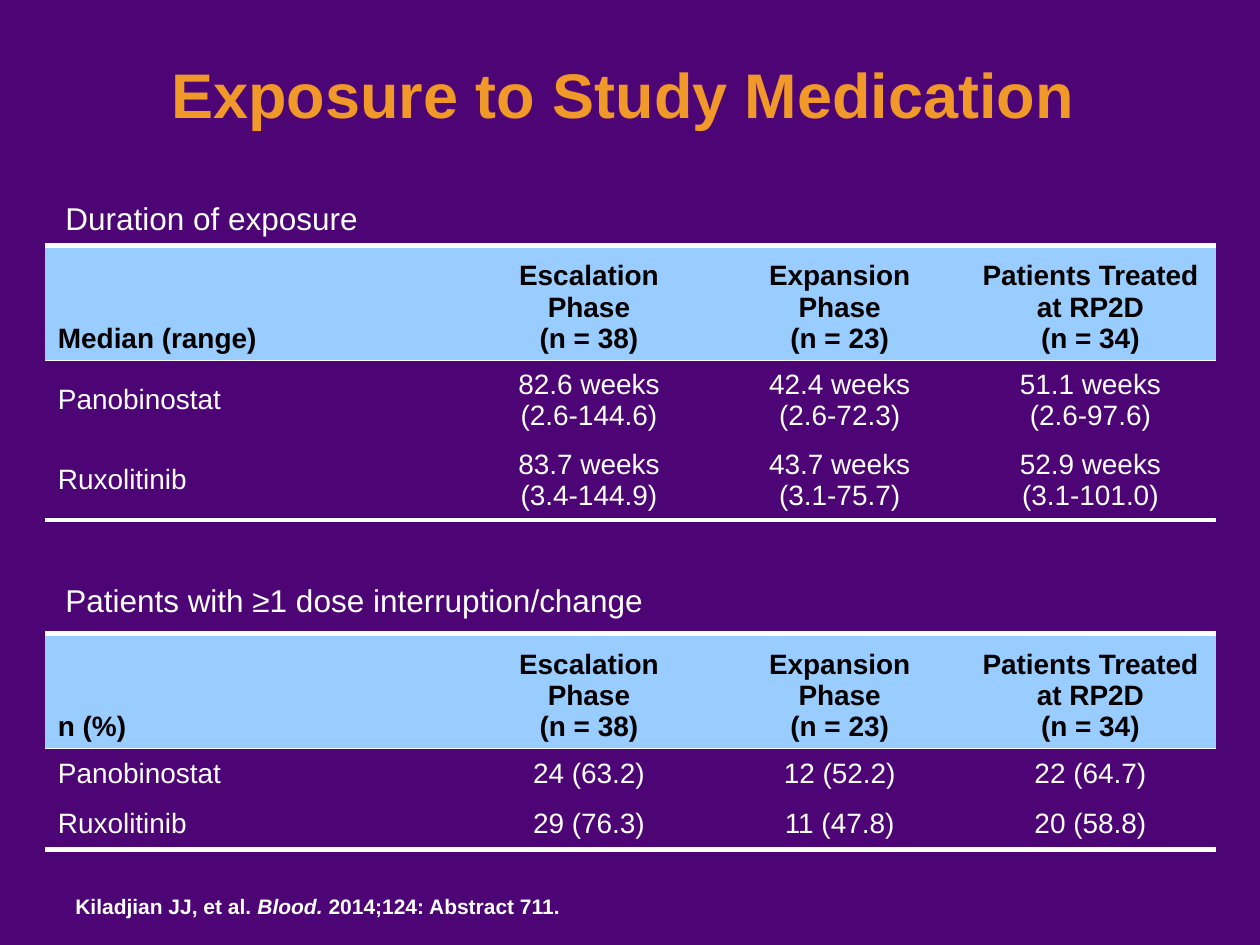
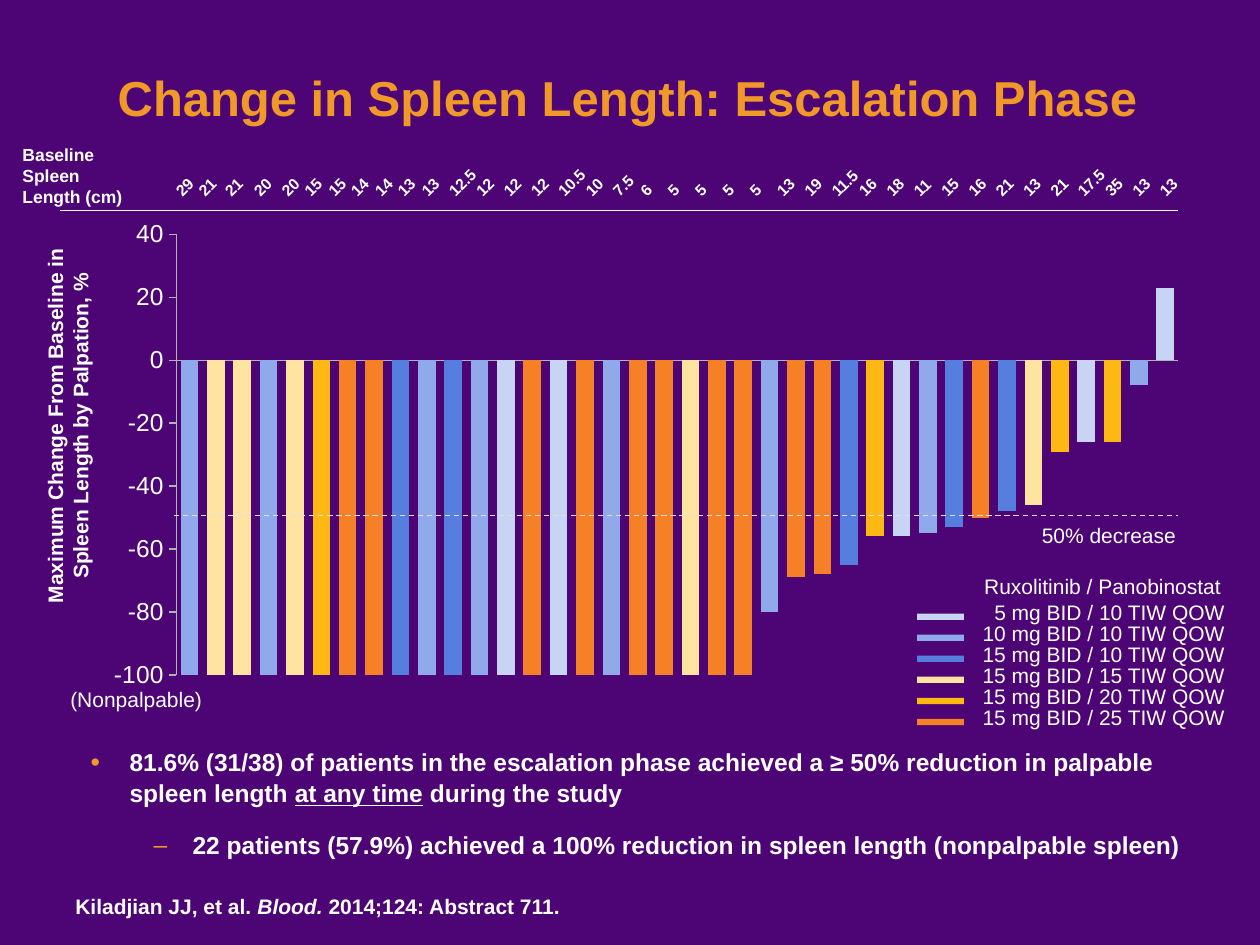
from dataclasses import dataclass

from lxml import etree
from pptx import Presentation
from pptx.chart.data import CategoryChartData
from pptx.dml.color import RGBColor
from pptx.enum.chart import XL_CHART_TYPE, XL_TICK_LABEL_POSITION, XL_TICK_MARK
from pptx.enum.dml import MSO_LINE
from pptx.enum.shapes import MSO_CONNECTOR, MSO_SHAPE
from pptx.enum.text import MSO_ANCHOR, PP_ALIGN
from pptx.oxml import parse_xml
from pptx.oxml.ns import nsdecls, qn
from pptx.util import Inches, Pt


@dataclass(frozen=True)
class Theme:
    font: str = "Arial"
    background: str = "4D0575"
    accent: str = "F09828"
    text: str = "FFFFFF"
    header_fill: str = "99CCFF"
    header_text: str = "000000"
    axis: str = "B3B3B3"
    threshold: str = "E0DDE5"
    doses: tuple = ("C7D4F4", "8FA9EA", "567EDF", "FEE3A1", "FDB813", "F58025")
    title: int = 36
    long_title: int = 28
    subtitle: int = 18
    table: int = 16
    body: int = 14
    label: int = 12
    small: int = 10
    baseline: int = 9


THEME = Theme()

CITATION = [("Kiladjian JJ, et al. ", {}), ("Blood. ", {"italic": True}),
            ("2014;124: Abstract 711.", {})]

PHASES = ["Escalation Phase\n(n = 38)", "Expansion Phase\n(n = 23)",
          "Patients Treated at RP2D\n(n = 34)"]
DURATION_ROWS = [
    ["Median (range)", *PHASES],
    ["Panobinostat", "82.6 weeks\n(2.6-144.6)", "42.4 weeks\n(2.6-72.3)",
     "51.1 weeks\n(2.6-97.6)"],
    ["Ruxolitinib", "83.7 weeks\n(3.4-144.9)", "43.7 weeks\n(3.1-75.7)",
     "52.9 weeks\n(3.1-101.0)"],
]
INTERRUPTION_ROWS = [
    ["n (%)", *PHASES],
    ["Panobinostat", "24 (63.2)", "12 (52.2)", "22 (64.7)"],
    ["Ruxolitinib", "29 (76.3)", "11 (47.8)", "20 (58.8)"],
]

# One entry per patient: change in %, dose group, baseline length in cm
SPLEEN_CHANGES = [-100] * 22 + [-80, -69, -68, -65, -56, -56, -55, -53, -50, -48,
                                -46, -29, -26, -26, -8, 23]
DOSE_GROUPS = [int(digit) for digit in "13313455212105051553551552401252340410"]
BASELINE_LENGTHS = (
    "29 21 21 20 20 15 15 14 14 13 13 12.5 12 12 12 10.5 10 7.5 6 5 5 5 5 13 19 "
    "11.5 16 18 11 15 16 21 13 21 17.5 35 13 13").split()
BASELINE_LEFTS = [1.36, 1.54, 1.75, 1.98, 2.2, 2.38, 2.57, 2.75, 2.94, 3.12]
BASELINE_LEFTS += [3.31 + 0.217 * step for step in range(28)]

DOSE_LABELS = ["5 mg BID / 10 TIW QOW", "10 mg BID / 10 TIW QOW",
               "15 mg BID / 10 TIW QOW", "15 mg BID / 15 TIW QOW",
               "15 mg BID / 20 TIW QOW", "15 mg BID / 25 TIW QOW"]


def color(value):
    return RGBColor.from_string(value)


def inches(box):
    return [Inches(length) for length in box]


# Text
def write_paragraph(paragraph, text, size=THEME.label, fill=THEME.text,
                    bold=False, italic=False, underline=False, align=None):
    """Write a string, or a list of (string, overrides) runs."""
    if align is not None:
        paragraph.alignment = align
    runs = [(text, {})] if isinstance(text, str) else text
    for words, overrides in runs:
        run = paragraph.add_run()
        run.text = words
        font = run.font
        font.name, font.size = THEME.font, Pt(size)
        font.color.rgb = color(fill)
        font.bold = bold
        font.italic = overrides.get("italic", italic)
        font.underline = overrides.get("underline", underline)


def write_lines(frame, text, **text_format):
    lines = text.split("\n") if isinstance(text, str) else [text]
    for index, line in enumerate(lines):
        paragraph = frame.add_paragraph() if index else frame.paragraphs[0]
        write_paragraph(paragraph, line, **text_format)


def add_text(slide, text, box, anchor=MSO_ANCHOR.TOP, rotation=0, inset=True,
             **text_format):
    shape = slide.shapes.add_textbox(*inches(box))
    shape.rotation = rotation
    frame = shape.text_frame
    frame.word_wrap = True
    frame.vertical_anchor = anchor
    if not inset:
        frame.margin_left = frame.margin_right = 0
        frame.margin_top = frame.margin_bottom = 0
    write_lines(frame, text, **text_format)
    return shape


def add_title(slide, text, box, size):
    add_text(slide, text, box, anchor=MSO_ANCHOR.BOTTOM, size=size,
             fill=THEME.accent, bold=True, align=PP_ALIGN.CENTER)


def add_bullet(paragraph, text, mark, indent, mark_size=100, **text_format):
    properties = paragraph._p.get_or_add_pPr()
    properties.set("marL", str(Inches(indent)))
    properties.set("indent", str(-Inches(0.31)))
    paragraph.line_spacing = 1.05
    paragraph.space_after = Pt(6)
    for element in (
            f'<a:buClr {nsdecls("a")}><a:srgbClr val="{THEME.accent}"/></a:buClr>',
            f'<a:buSzPct {nsdecls("a")} val="{mark_size * 1000}"/>',
            f'<a:buFont {nsdecls("a")} typeface="{THEME.font}"/>',
            f'<a:buChar {nsdecls("a")} char="{mark}"/>'):
        properties.append(parse_xml(element))
    write_paragraph(paragraph, text, **text_format)


# Lines and shapes
def add_line(slide, start, end, line_color, dash=None):
    connector = slide.shapes.add_connector(
        MSO_CONNECTOR.STRAIGHT, *inches((*start, *end)))
    connector.line.color.rgb = color(line_color)
    connector.line.width = Pt(0.75)
    if dash:
        connector.line.dash_style = dash
    etree.SubElement(connector._element.spPr, qn("a:effectLst"))


def add_swatch(slide, box, fill):
    shape = slide.shapes.add_shape(MSO_SHAPE.RECTANGLE, *inches(box))
    shape.shadow.inherit = False
    shape.fill.solid()
    shape.fill.fore_color.rgb = color(fill)
    shape.line.fill.background()


# Tables
def set_borders(cell, **widths):
    """Give point widths for sides L, R, T, B; the others have no line."""
    properties = cell._tc.get_or_add_tcPr()
    for index, side in enumerate("LRTB"):
        width = widths.get(side, 0)
        paint = (f'<a:solidFill><a:srgbClr val="{THEME.text}"/></a:solidFill>'
                 if width else "<a:noFill/>")
        properties.insert(index, parse_xml(
            f'<a:ln{side} {nsdecls("a")} w="{Pt(width)}">{paint}</a:ln{side}>'))


def add_exposure_table(slide, rows, top, row_heights):
    widths = [3.32, 1.99, 1.99, 1.99]
    table = slide.shapes.add_table(
        len(rows), len(widths),
        *inches((0.36, top, sum(widths), sum(row_heights)))).table
    table.first_row = table.horz_banding = False
    for column, width in zip(table.columns, widths):
        column.width = Inches(width)
    borders = [{"T": 3, "B": 1}, {"T": 1}, {"B": 3}]
    for row_index, values in enumerate(rows):
        table.rows[row_index].height = Inches(row_heights[row_index])
        header = row_index == 0
        for column_index, value in enumerate(values):
            cell = table.cell(row_index, column_index)
            if header:
                cell.fill.solid()
                cell.fill.fore_color.rgb = color(THEME.header_fill)
            else:
                cell.fill.background()
            set_borders(cell, **borders[row_index])
            cell.vertical_anchor = MSO_ANCHOR.BOTTOM if header else MSO_ANCHOR.MIDDLE
            write_lines(cell.text_frame, value, size=THEME.table, bold=header,
                        fill=THEME.header_text if header else THEME.text,
                        align=PP_ALIGN.CENTER if column_index else PP_ALIGN.LEFT)


# Chart
def place_plot(chart, **fractions):
    plot_area = chart._chartSpace.chart.plotArea
    for layout in plot_area.findall(qn("c:layout")):
        plot_area.remove(layout)
    places = "".join(f'<c:{name} val="{value}"/>' for name, value in fractions.items())
    plot_area.insert(0, parse_xml(
        f'<c:layout {nsdecls("c")}><c:manualLayout><c:layoutTarget val="inner"/>'
        f'<c:xMode val="edge"/><c:yMode val="edge"/>{places}'
        '</c:manualLayout></c:layout>'))


def add_spleen_chart(slide, box):
    data = CategoryChartData()
    data.categories = [str(number + 1) for number in range(len(SPLEEN_CHANGES))]
    data.add_series("Series 1", SPLEEN_CHANGES)
    chart = slide.shapes.add_chart(
        XL_CHART_TYPE.COLUMN_CLUSTERED, *inches(box), data).chart
    chart.has_legend = chart.has_title = False
    chart.font.name, chart.font.size = THEME.font, Pt(THEME.body)
    chart.font.color.rgb = color(THEME.text)
    place_plot(chart, x=0.076, y=0.049, w=0.904, h=0.904)

    plot = chart.plots[0]
    plot.gap_width = 50
    plot.vary_by_categories = False
    series = plot.series[0]
    series.invert_if_negative = False
    for index, group in enumerate(DOSE_GROUPS):
        fill = series.points[index].format.fill
        fill.solid()
        fill.fore_color.rgb = color(THEME.doses[group])

    patients, change = chart.category_axis, chart.value_axis
    patients.tick_label_position = XL_TICK_LABEL_POSITION.NONE
    patients.major_tick_mark = XL_TICK_MARK.NONE
    change.minimum_scale, change.maximum_scale, change.major_unit = -100, 40, 20
    change.major_tick_mark = XL_TICK_MARK.OUTSIDE
    for axis in (patients, change):
        axis.has_major_gridlines = False
        axis.format.line.color.rgb = color(THEME.axis)
        axis.format.line.width = Pt(0.75)


def add_dose_legend(slide):
    add_text(slide, "Ruxolitinib / Panobinostat", (7.45, 4.5, 2.34, 0.3),
             align=PP_ALIGN.RIGHT)
    for index, (label, fill) in enumerate(zip(DOSE_LABELS, THEME.doses)):
        offset = 0.167 * index
        add_text(slide, label, (7.45, 4.71 + offset, 2.37, 0.3),
                 align=PP_ALIGN.RIGHT)
        add_swatch(slide, (7.28, 4.87 + offset, 0.37, 0.05), fill)


# Slides
def add_slide(presentation):
    slide = presentation.slides.add_slide(presentation.slide_layouts[6])
    slide.background.fill.solid()
    slide.background.fill.fore_color.rgb = color(THEME.background)
    add_text(slide, CITATION, (0.5, 7.04, 5, 0.3), bold=True)
    return slide


def build_exposure_slide(presentation):
    slide = add_slide(presentation)
    add_title(slide, "Exposure to Study Medication", (0, 0.26, 9.89, 0.83), THEME.title)
    add_text(slide, "Duration of exposure", (0.42, 1.53, 4.88, 0.4),
             size=THEME.subtitle)
    add_exposure_table(slide, DURATION_ROWS, 1.95, [0.91, 0.63, 0.63])
    add_text(slide, "Patients with ≥1 dose interruption/change",
             (0.42, 4.56, 6.96, 0.4), size=THEME.subtitle)
    add_exposure_table(slide, INTERRUPTION_ROWS, 5.03, [0.91, 0.4, 0.4])


def build_spleen_slide(presentation):
    slide = add_slide(presentation)
    add_spleen_chart(slide, (0.73, 1.67, 8.8, 3.87))
    add_title(slide, "Change in Spleen Length: Escalation Phase",
              (0.39, 0.22, 9.18, 0.83), THEME.long_title)
    add_text(slide, "Maximum Change From Baseline in Spleen Length by Palpation, %",
             (-1.07, 3.13, 3.21, 0.5), rotation=270, bold=True, align=PP_ALIGN.CENTER)

    # Baseline lengths above the bars
    add_text(slide, "Baseline Spleen Length (cm)", (0.08, 1.09, 1.09, 0.61),
             size=THEME.small, bold=True)
    for left, length in zip(BASELINE_LEFTS, BASELINE_LENGTHS):
        add_text(slide, length, (left, 1.33, 0.37, 0.15), rotation=315,
                 inset=False, size=THEME.baseline, bold=True)
    add_line(slide, (9.35, 1.67), (0.48, 1.67), THEME.text)

    # Threshold and axis notes
    add_line(slide, (1.38, 4.09), (9.35, 4.09), THEME.threshold, MSO_LINE.DASH)
    add_text(slide, "50% decrease", (8.17, 4.1, 1.4, 0.3))
    add_text(slide, "(Nonpalpable)", (0.46, 5.4, 1.4, 0.3))
    add_dose_legend(slide)

    # Findings
    finding = [("81.6% (31/38) of patients in the escalation phase achieved a "
                "≥ 50% reduction in palpable spleen length ", {}),
               ("at any time", {"underline": True}), (" during the study", {})]
    detail = ("22 patients (57.9%) achieved a 100% reduction in spleen length "
              "(nonpalpable spleen)")
    frame = add_text(slide, [], (0.62, 5.87, 9.22, 0.99)).text_frame
    add_bullet(frame.paragraphs[0], finding, "•", 0.31, mark_size=110,
               size=THEME.body, bold=True)
    paragraph = frame.add_paragraph()
    paragraph.space_before = Pt(6)
    add_bullet(paragraph, detail, "‒", 0.81, size=THEME.body, bold=True)


def main():
    presentation = Presentation()
    presentation.slide_width, presentation.slide_height = Inches(10), Inches(7.5)
    build_exposure_slide(presentation)
    build_spleen_slide(presentation)
    presentation.save("out.pptx")


if __name__ == "__main__":
    main()
